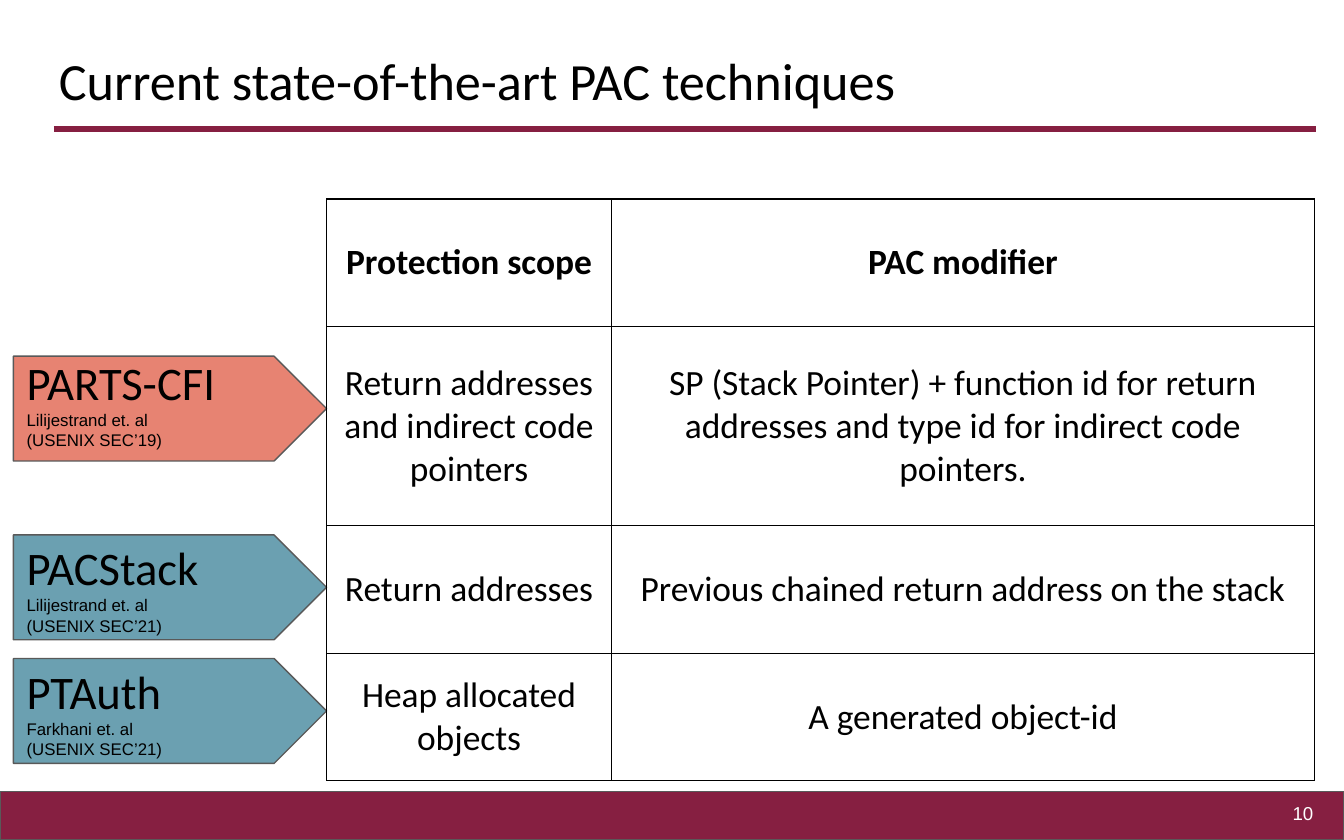
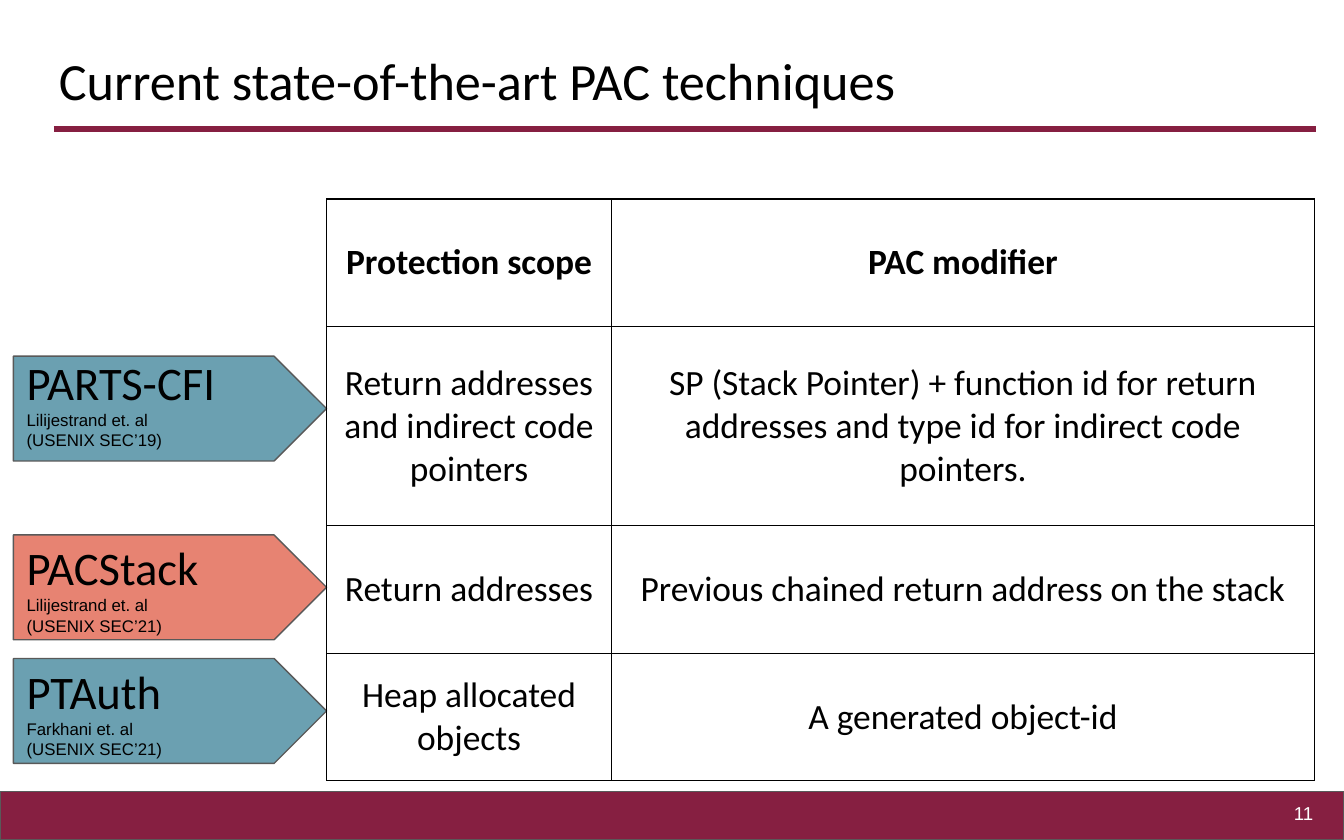
from dataclasses import dataclass

from lxml.etree import SubElement
from pptx import Presentation
from pptx.dml.color import RGBColor
from pptx.enum.shapes import MSO_CONNECTOR, MSO_SHAPE
from pptx.enum.text import MSO_ANCHOR, PP_ALIGN
from pptx.oxml.ns import qn
from pptx.util import Inches, Pt


@dataclass(frozen=True)
class Theme:
    maroon: str = "861F41"
    coral: str = "E78372"
    teal: str = "6BA0B1"
    outline: str = "595959"
    black: str = "000000"
    white: str = "FFFFFF"
    heading_font: str = "Calibri"
    small_font: str = "Arial"
    title_size: int = 28
    tag_size: int = 25
    table_size: int = 19
    number_size: int = 10
    citation_size: int = 9
    thin: float = 0.75
    thick: float = 3
    inset: float = 0.1
    cell_inset: float = 0.11


THEME = Theme()
TITLE = "Current state-of-the-art PAC techniques"
FIRST_NUMBER = 10

TAG_LEFT, TAG_WIDTH, TAG_HEIGHT = 0.1, 2.33, 0.78
# Name, citation, top edge, bottom inset
TECHNIQUES = [
    ("PARTS-CFI", "Lilijestrand et. al\n(USENIX SEC’19)", 2.65, 0.2),
    ("PACStack", "Lilijestrand et. al\n(USENIX SEC’21)", 3.98, 0.1),
    ("PTAuth", "Farkhani et. al\n(USENIX SEC’21)", 4.9, 0.1),
]
HIGHLIGHTED = ["PARTS-CFI", "PACStack"]

TABLE_LEFT, TABLE_TOP = 2.43, 1.48
COLUMN_WIDTHS = [2.12, 5.23]
ROW_HEIGHTS = [0.95, 1.48, 0.95, 0.95]
COMPARISON = [
    ("Protection scope", "PAC modifier"),
    ("Return addresses and indirect code pointers",
     "SP (Stack Pointer) + function id for return addresses "
     "and type id for indirect code pointers."),
    ("Return addresses", "Previous chained return address on the stack"),
    ("Heap allocated\nobjects", "A generated object-id"),
]


def write(frame, text, *, size, font=THEME.heading_font, color=THEME.black,
          bold=False, align=PP_ALIGN.LEFT):
    """Add one paragraph per line of text, after any text already there."""
    for line in text.split("\n"):
        paragraph = frame.paragraphs[0]
        if paragraph.runs:
            paragraph = frame.add_paragraph()
        paragraph.alignment = align
        run = paragraph.add_run()
        run.text = line
        run.font.name = font
        run.font.size = Pt(size)
        run.font.bold = bold
        run.font.color.rgb = RGBColor.from_string(color)


def set_frame(frame, anchor, bottom=THEME.inset):
    frame.word_wrap = True
    frame.vertical_anchor = anchor
    frame.margin_left = frame.margin_right = frame.margin_top = Inches(THEME.inset)
    frame.margin_bottom = Inches(bottom)


def set_borders(cell):
    properties = cell._tc.get_or_add_tcPr()
    for side in ("lnL", "lnR", "lnT", "lnB"):
        border = SubElement(properties, qn(f"a:{side}"), w=str(Pt(THEME.thin)))
        fill = SubElement(border, qn("a:solidFill"))
        SubElement(fill, qn("a:srgbClr"), val=THEME.black)


class Deck:
    def __init__(self, theme):
        self.theme = theme
        self.presentation = Presentation()
        self.presentation.slide_width = Inches(10)
        self.presentation.slide_height = Inches(6.25)
        self.slide = None

    def new_slide(self, title, number):
        theme = self.theme
        self.slide = self.presentation.slides.add_slide(
            self.presentation.slide_layouts[6])
        self.shape(MSO_SHAPE.RECTANGLE, 0, 5.89, 10, 0.36, theme.maroon)
        self.rule(0.4, 9.79, 0.96)
        write(self.text_box(0.34, 0.26, 9.32, 0.7, MSO_ANCHOR.TOP), title,
              size=theme.title_size)
        write(self.text_box(9.27, 5.81, 0.6, 0.48, MSO_ANCHOR.MIDDLE), str(number),
              size=theme.number_size, font=theme.small_font, color=theme.white,
              align=PP_ALIGN.RIGHT)

    def shape(self, kind, left, top, width, height, fill):
        shape = self.slide.shapes.add_shape(
            kind, Inches(left), Inches(top), Inches(width), Inches(height))
        shape.shadow.inherit = False
        shape.fill.solid()
        shape.fill.fore_color.rgb = RGBColor.from_string(fill)
        shape.line.color.rgb = RGBColor.from_string(self.theme.outline)
        shape.line.width = Pt(self.theme.thin)
        return shape

    def rule(self, start, end, top):
        line = self.slide.shapes.add_connector(
            MSO_CONNECTOR.STRAIGHT, Inches(start), Inches(top), Inches(end), Inches(top))
        line.line.color.rgb = RGBColor.from_string(self.theme.maroon)
        line.line.width = Pt(self.theme.thick)
        SubElement(line._element.spPr, qn("a:effectLst"))

    def text_box(self, left, top, width, height, anchor):
        frame = self.slide.shapes.add_textbox(
            Inches(left), Inches(top), Inches(width), Inches(height)).text_frame
        set_frame(frame, anchor)
        return frame

    def technique_tag(self, name, citation, top, bottom_inset, fill):
        shape = self.shape(MSO_SHAPE.PENTAGON, TAG_LEFT, top, TAG_WIDTH, TAG_HEIGHT, fill)
        frame = shape.text_frame
        set_frame(frame, MSO_ANCHOR.MIDDLE, bottom_inset)
        write(frame, name, size=self.theme.tag_size)
        write(frame, citation, size=self.theme.citation_size, font=self.theme.small_font)

    def table(self, left, top, widths, heights, rows):
        table = self.slide.shapes.add_table(
            len(heights), len(widths), Inches(left), Inches(top),
            Inches(sum(widths)), Inches(sum(heights))).table
        table.first_row = table.horz_banding = False
        for column, width in zip(table.columns, widths):
            column.width = Inches(width)
        for row, height in zip(table.rows, heights):
            row.height = Inches(height)
        for row_index, texts in enumerate(rows):
            for column_index, text in enumerate(texts):
                cell = table.cell(row_index, column_index)
                set_borders(cell)
                cell.fill.background()
                cell.vertical_anchor = MSO_ANCHOR.MIDDLE
                cell.margin_left = cell.margin_right = Inches(self.theme.inset)
                cell.margin_top = cell.margin_bottom = Inches(self.theme.cell_inset)
                write(cell.text_frame, text, size=self.theme.table_size,
                      bold=row_index == 0, align=PP_ALIGN.CENTER)


def main():
    deck = Deck(THEME)
    for number, highlighted in enumerate(HIGHLIGHTED, FIRST_NUMBER):
        deck.new_slide(TITLE, number)
        for name, citation, top, bottom_inset in TECHNIQUES:
            fill = THEME.coral if name == highlighted else THEME.teal
            deck.technique_tag(name, citation, top, bottom_inset, fill)
        deck.table(TABLE_LEFT, TABLE_TOP, COLUMN_WIDTHS, ROW_HEIGHTS, COMPARISON)
    deck.presentation.save("out.pptx")


if __name__ == "__main__":
    main()
